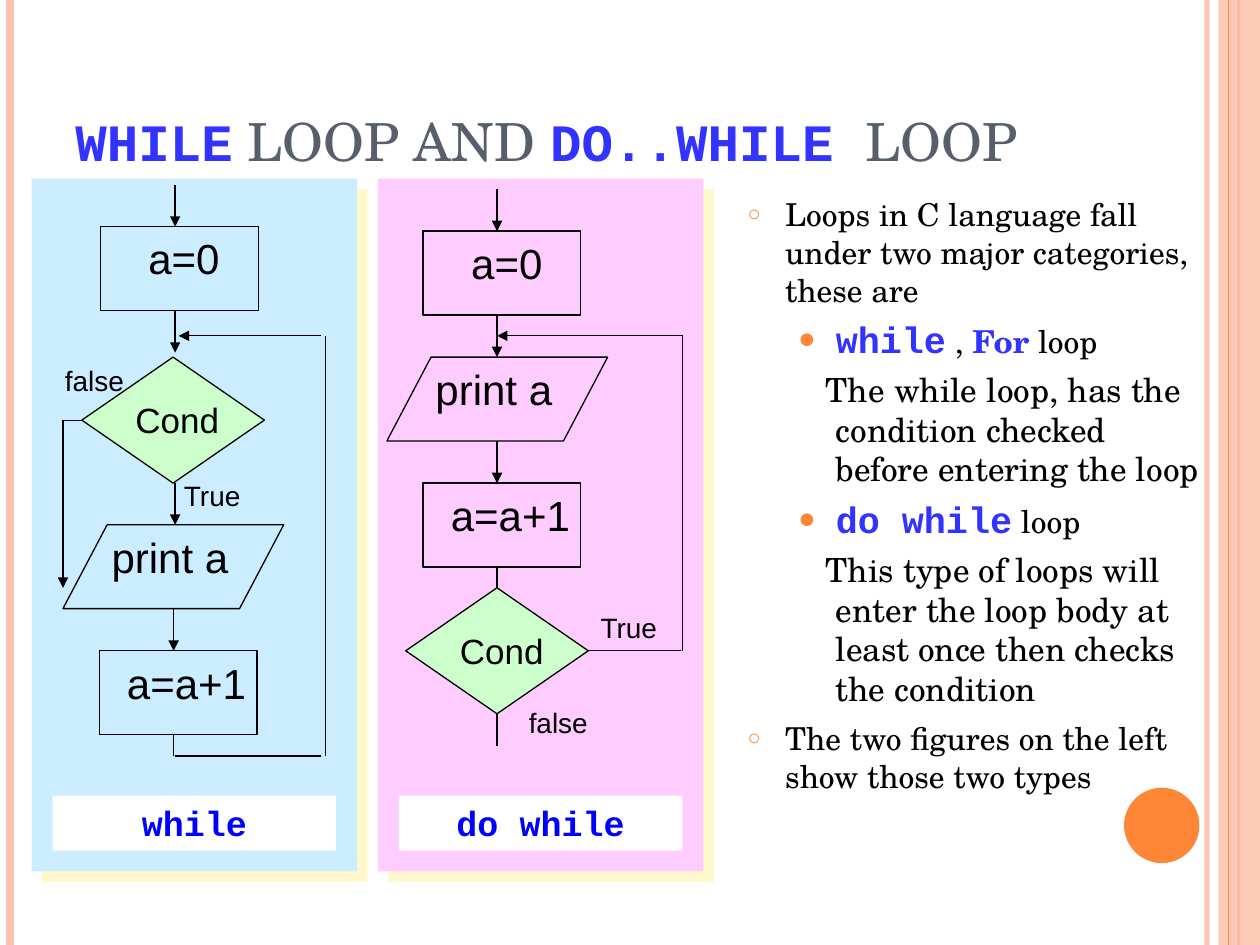
from dataclasses import dataclass
from typing import Optional

from lxml import etree
from pptx import Presentation
from pptx.dml.color import RGBColor
from pptx.enum.shapes import MSO_CONNECTOR, MSO_SHAPE
from pptx.enum.text import MSO_ANCHOR, MSO_AUTO_SIZE, PP_ALIGN
from pptx.oxml.ns import qn
from pptx.util import Cm, Pt

RECTANGLE = MSO_SHAPE.RECTANGLE
OVAL = MSO_SHAPE.OVAL
DATA = MSO_SHAPE.FLOWCHART_DATA
DECISION = MSO_SHAPE.FLOWCHART_DECISION
STRAIGHT = MSO_CONNECTOR.STRAIGHT
LEFT, CENTER = PP_ALIGN.LEFT, PP_ALIGN.CENTER
TOP, BOTTOM = MSO_ANCHOR.TOP, MSO_ANCHOR.BOTTOM
FIXED, GROW = MSO_AUTO_SIZE.NONE, MSO_AUTO_SIZE.SHAPE_TO_FIT_TEXT
SITE_TOP, SITE_LEFT, SITE_BOTTOM, SITE_RIGHT = range(4)

SERIF, SANS, MONO = "TeX Gyre Schola", "Arial", "Courier New"
BLACK, WHITE, BLUE, SLATE = "000000", "FFFFFF", "3333FF", "575F6D"
ORANGE, PEACH, GREEN, YELLOW = "FE8637", "FEC3AE", "CCFFCC", "FFF39D"

STEP_SIZES = {RECTANGLE: (3.18, 1.69), DATA: (4.45, 1.69), DECISION: (3.68, 2.54)}
# Label text: (width in cm, font size)
LABEL_STYLES = {"a=0": (2, 24), "a=a+1": (2.97, 24), "print a": (2.92, 24),
                "Cond": (2.26, 20), "True": (1.7, 16), "false": (1.75, 16)}
LABEL_HEIGHTS = {24: 1.26, 20: 1.11, 16: 0.95}


@dataclass
class Run:
    text: str
    size: float = 18
    font: str = SERIF
    color: str = BLACK
    bold: bool = False


@dataclass
class Block:
    runs: list[Run]
    margin: float = 0
    indent: float = 0
    level: int = 0
    before: float = 0
    bullet: str = ""
    bullet_percent: int = 100


@dataclass
class Flow:
    start: tuple[float, float]
    end: tuple[float, float]
    arrow: bool = False
    start_site: Optional[int] = None  # site on the panel's decision shape
    end_site: Optional[int] = None


@dataclass
class Panel:
    left: float
    color: str
    caption: str
    steps: list[tuple]
    flows: list[Flow]
    labels: list[tuple[str, float, float]]


def paint(color_format, color: str) -> None:
    color_format.rgb = RGBColor.from_string(color)


def set_alpha(parent, percent: int) -> None:
    if percent < 100:
        node = parent.find(qn("a:solidFill")).find(qn("a:srgbClr"))
        etree.SubElement(node, qn("a:alpha"), val=str(percent * 1000))


def add_box(slide, kind, left, top, width, height, fill="", line="", alpha=100):
    shape = slide.shapes.add_shape(kind, Cm(left), Cm(top), Cm(width), Cm(height))
    shape.shadow.inherit = False
    if fill:
        shape.fill.solid()
        paint(shape.fill.fore_color, fill)
        set_alpha(shape._element.spPr, alpha)
    else:
        shape.fill.background()
    if line:
        paint(shape.line.color, line)
        shape.line.width = Pt(0.75)
    else:
        shape.line.fill.background()
    return shape


def add_line(slide, start, end, color=BLACK, width=0.75, arrow=False, alpha=100):
    points = [Cm(value) for value in (*start, *end)]
    connector = slide.shapes.add_connector(STRAIGHT, *points)
    connector.line.width = Pt(width)
    paint(connector.line.color, color)
    properties = connector._element.spPr
    line = properties.find(qn("a:ln"))
    set_alpha(line, alpha)
    if arrow:
        etree.SubElement(line, qn("a:tailEnd"), type="triangle")
    etree.SubElement(properties, qn("a:effectLst"))
    return connector


def add_shadow(shape, color: str) -> None:
    effects = shape._element.spPr.find(qn("a:effectLst"))
    shadow = etree.SubElement(effects, qn("a:outerShdw"), blurRad="0", dist=str(Pt(8.5)),
                              dir="2700000", algn="ctr", rotWithShape="0")
    node = etree.SubElement(shadow, qn("a:srgbClr"), val=color)
    etree.SubElement(node, qn("a:alpha"), val="50000")


def add_bullet(properties, block: Block) -> None:
    if not block.bullet:
        etree.SubElement(properties, qn("a:buNone"))
        return
    color = etree.SubElement(properties, qn("a:buClr"))
    etree.SubElement(color, qn("a:srgbClr"), val=ORANGE)
    etree.SubElement(properties, qn("a:buSzPct"), val=str(block.bullet_percent * 1000))
    etree.SubElement(properties, qn("a:buFont"), typeface=SANS)
    etree.SubElement(properties, qn("a:buChar"), char=block.bullet)


def write_text(shape, blocks: list[Block], *, align=LEFT, anchor=TOP, wrap=True,
               fit=FIXED) -> None:
    frame = shape.text_frame
    frame.word_wrap, frame.vertical_anchor, frame.auto_size = wrap, anchor, fit
    for index, block in enumerate(blocks):
        paragraph = frame.add_paragraph() if index else frame.paragraphs[0]
        properties = paragraph._p.get_or_add_pPr()
        properties.set("marL", str(Cm(block.margin)))
        properties.set("indent", str(Cm(block.indent)))
        add_bullet(properties, block)
        paragraph.level, paragraph.alignment = block.level, align
        paragraph.space_before = Pt(block.before)
        for item in block.runs:
            run = paragraph.add_run()
            run.text = item.text
            run.font.size, run.font.name, run.font.bold = Pt(item.size), item.font, item.bold
            paint(run.font.color, item.color)


def add_text(slide, left, top, width, height, blocks, **text_format) -> None:
    box = slide.shapes.add_textbox(Cm(left), Cm(top), Cm(width), Cm(height))
    write_text(box, blocks, **text_format)


def draw_panel(slide, panel: Panel) -> None:
    add_shadow(add_box(slide, RECTANGLE, panel.left, 3.6, 6.56, 13.97, panel.color), YELLOW)
    caption = add_box(slide, RECTANGLE, panel.left + 0.42, 16.04, 5.72, 1.11, WHITE)
    write_text(caption, [Block([Run(panel.caption, 20, MONO, "0000FF", True)])], align=CENTER)
    decision = None
    for kind, left, top in panel.steps:
        fill = GREEN if kind == DECISION else ""
        shape = add_box(slide, kind, left, top, *STEP_SIZES[kind], fill, BLACK)
        decision = shape if kind == DECISION else decision
    for flow in panel.flows:
        connector = add_line(slide, flow.start, flow.end, arrow=flow.arrow)
        if flow.start_site is not None:
            connector.begin_connect(decision, flow.start_site)
        if flow.end_site is not None:
            connector.end_connect(decision, flow.end_site)
    for text, left, top in panel.labels:
        width, size = LABEL_STYLES[text]
        add_text(slide, left, top, width, LABEL_HEIGHTS[size],
                 [Block([Run(text, size, SANS)])], wrap=False, fit=GROW)


def topic(text: str, before: float = 6) -> Block:
    return Block([Run(text)], 0.76, -0.76, 0, before, "○", 70)


def loop_kind(name: str, *rest: Run) -> Block:
    return Block([Run(name, 21, MONO, BLUE, True), *rest], 1.78, -0.76, 1, 4.5, "●", 80)


def detail(text: str) -> Block:
    return Block([Run(text, 19)], 1.78, -0.2, 1, 4.8)


WHILE_PANEL = Panel(
    0.64, "CCECFF", "while",
    [(RECTANGLE, 2.03, 4.57), (DECISION, 1.65, 7.2), (DATA, 1.27, 10.58), (RECTANGLE, 2, 13.12)],
    [Flow((3.53, 3.73), (3.53, 4.57), True), Flow((3.53, 6.26), (3.53, 7.11), True),
     Flow((3.53, 9.74), (3.53, 10.58), True), Flow((3.5, 12.28), (3.5, 13.12), True),
     Flow((3.5, 14.82), (3.5, 15.24)), Flow((3.53, 15.24), (6.48, 15.24)),
     Flow((6.56, 15.24), (6.56, 6.77)), Flow((6.48, 6.77), (3.6, 6.77), True),
     Flow((1.65, 8.47), (1.27, 8.47), start_site=SITE_LEFT),
     Flow((1.27, 8.47), (1.27, 11.85), True)],
    [("a=0", 2.74, 4.57), ("Cond", 2.48, 7.9), ("false", 1.06, 7.2),
     ("True", 3.46, 9.52), ("print a", 2, 10.58), ("a=a+1", 2.31, 13.12)])
DO_WHILE_PANEL = Panel(
    7.62, "FFCCFF", "do while",
    [(RECTANGLE, 8.53, 4.66), (DATA, 7.8, 7.2), (RECTANGLE, 8.53, 9.74), (DECISION, 8.18, 11.85)],
    [*(Flow((10.02, top), (10.02, top + 0.85), True) for top in (3.81, 6.35, 8.89)),
     Flow((10.02, 11.43), (10.02, 11.85), end_site=SITE_TOP),
     Flow((11.86, 13.12), (13.72, 13.12), start_site=SITE_RIGHT),
     Flow((13.76, 13.12), (13.76, 6.77)), Flow((13.76, 6.77), (10.02, 6.77), True),
     Flow((10.02, 14.39), (10.02, 15.03), start_site=SITE_BOTTOM)],
    [("a=0", 9.25, 4.66), ("print a", 8.53, 7.2), ("a=a+1", 8.84, 9.74),
     ("Cond", 9.02, 12.57), ("True", 11.86, 12.19), ("false", 10.41, 14.1)])


def main() -> None:
    presentation = Presentation()
    presentation.slide_width, presentation.slide_height = Cm(25.4), Cm(19.05)
    slide = presentation.slides.add_slide(presentation.slide_layouts[6])
    # Side stripes and disc
    add_line(slide, (24.33, 0), (24.33, 19.05), PEACH, 3, alpha=93)
    add_line(slide, (0.2, 0), (0.2, 19.05), PEACH, 4.5)
    add_line(slide, (24.97, 0), (24.97, 19.05), ORANGE, 1.5)
    add_box(slide, RECTANGLE, 24.56, 0, 0.84, 19.05, PEACH, alpha=87)
    add_line(slide, (24.77, 0), (24.77, 19.05), ORANGE)
    add_box(slide, OVAL, 22.66, 15.88, 1.52, 1.52, ORANGE)
    # Title
    add_text(slide, 1.27, 1.4, 22.86, 2.2, [Block([
        Run("WHILE", 30, MONO, BLUE, True), Run(" LOOP AND ", 30, SERIF, SLATE),
        Run("DO..WHILE ", 30, MONO, BLUE, True), Run("LOOP", 30, SERIF, SLATE)])], anchor=BOTTOM)
    # Flowcharts
    for panel in (WHILE_PANEL, DO_WHILE_PANEL):
        draw_panel(slide, panel)
    # Explanation
    add_text(slide, 14.82, 3.81, 9.74, 13.76, [
        topic("Loops in C language fall under two major categories, these are", 0),
        loop_kind("while", Run(" , "), Run("For", color=BLUE, bold=True), Run(" loop")),
        detail("The while loop, has the condition checked before entering the loop"),
        loop_kind("do while", Run(" loop")),
        detail("This type of loops will enter the loop body at least once then checks the condition"),
        topic("The two figures on the left show those two types")])
    presentation.save("out.pptx")


if __name__ == "__main__":
    main()
